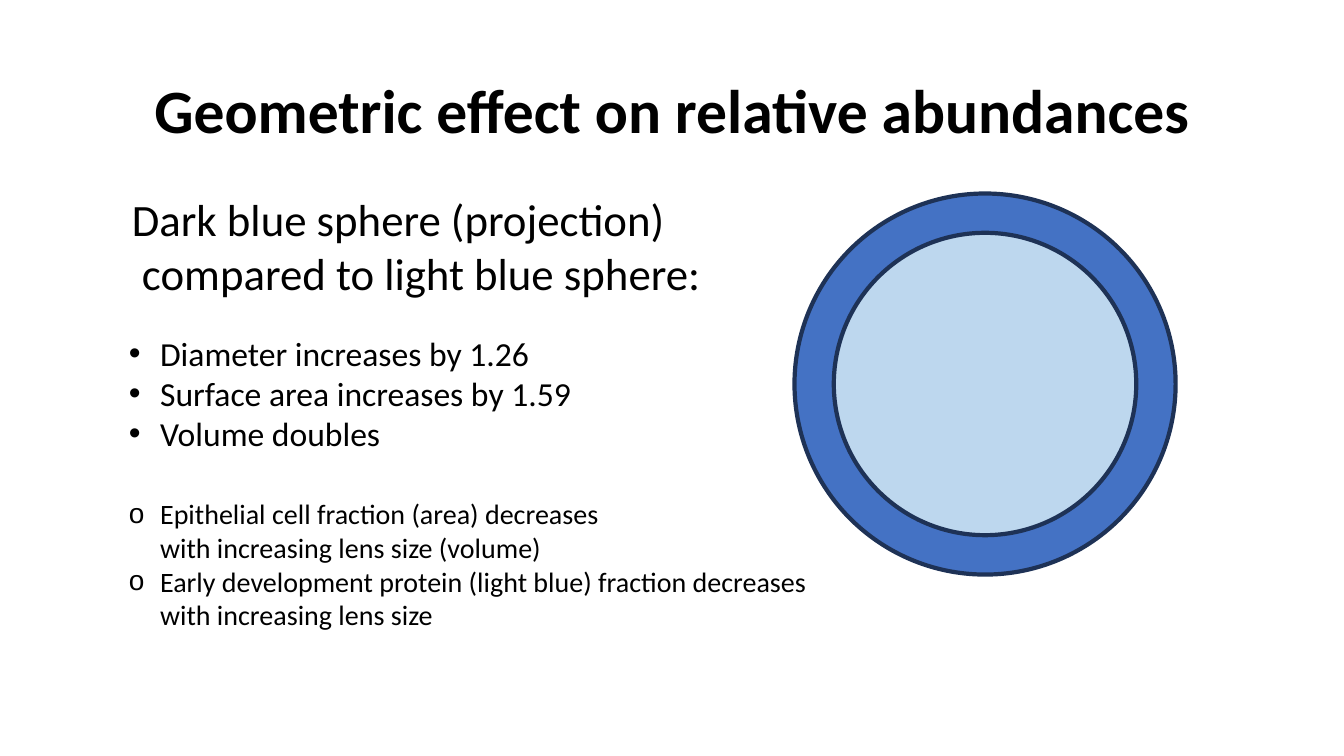
from dataclasses import dataclass

from lxml.etree import SubElement
from pptx import Presentation
from pptx.dml.color import RGBColor as RGB
from pptx.enum.shapes import MSO_SHAPE as SHAPE
from pptx.enum.text import MSO_ANCHOR as ANCHOR, MSO_AUTO_SIZE as AUTO, PP_ALIGN as ALIGN
from pptx.oxml.ns import qn
from pptx.util import Pt

PX = 9144  # EMU per px, 100 px to the inch


@dataclass(frozen=True)
class Theme:
    font: str = "Calibri"
    bullet_font: str = "Arial"
    text: RGB = RGB(0, 0, 0)
    outer: RGB = RGB(0x44, 0x72, 0xC4)
    inner: RGB = RGB(0xBD, 0xD7, 0xEE)
    outline: RGB = RGB(0x1E, 0x32, 0x56)
    title: int = 44
    lead: int = 32
    facts: int = 24
    effects: int = 20


THEME = Theme()


def emu(*px):
    return [v * PX for v in px]


def format_runs(p, size, bold=False):
    for r in p.runs:
        values = {"name": THEME.font, "size": Pt(size), "bold": bold}
        for name, value in values.items():
            setattr(r.font, name, value)
        r.font.color.rgb = THEME.text


def add_bullet(p, char, indent=31):
    pPr = p._p.get_or_add_pPr()
    pPr.set("marL", str(indent * PX))
    pPr.set("indent", str(-indent * PX))
    SubElement(pPr, qn("a:buFont"), typeface=THEME.bullet_font)
    SubElement(pPr, qn("a:buChar"), char=char)


def add_title(s, text, box):
    sp = s.shapes.title
    sp.left, sp.top, sp.width, sp.height = emu(*box)
    tf = sp.text_frame
    tf.text = text
    values = {"word_wrap": True, "auto_size": AUTO.NONE, "vertical_anchor": ANCHOR.MIDDLE}
    for name, value in values.items():
        setattr(tf, name, value)
    p = tf.paragraphs[0]
    p.alignment, p.line_spacing = ALIGN.CENTER, 0.9
    format_runs(p, THEME.title, bold=True)


def add_text(s, paragraphs, box, size, bullet=None):
    tf = s.shapes.add_textbox(*emu(*box)).text_frame
    tf.word_wrap = True
    for i, text in enumerate(paragraphs):
        p = tf.add_paragraph() if i else tf.paragraphs[0]
        p.text = text
        if bullet:
            add_bullet(p, bullet)
        format_runs(p, size)


def add_sphere(s, center, diameter, fill):
    left, top = (c - diameter // 2 for c in center)
    sp = s.shapes.add_shape(SHAPE.OVAL, *emu(left, top, diameter, diameter))
    sp.shadow.inherit = False
    sp.fill.solid()
    sp.fill.fore_color.rgb = fill
    sp.line.color.rgb = THEME.outline
    sp.line.width = Pt(3)


def main():
    prs = Presentation()
    prs.slide_width, prs.slide_height = emu(1333, 750)
    s = prs.slides.add_slide(prs.slide_layouts[5])

    add_title(s, "Geometric effect on relative abundances", (92, 40, 1150, 145))
    for diameter, fill in ((378, THEME.outer), (300, THEME.inner)):
        add_sphere(s, (977, 381), diameter, fill)

    add_text(s, ["Dark blue sphere (projection)\n compared to light blue sphere:"],
             (121, 185, 590, 118), THEME.lead)
    add_text(s, ["Diameter increases by 1.26",
                 "Surface area increases by 1.59",
                 "Volume doubles"],
             (118, 325, 463, 131), THEME.facts, "•")
    add_text(s, ["Epithelial cell fraction (area) decreases\n"
                 "with increasing lens size (volume)",
                 "Early development protein (light blue) fraction decreases\n"
                 "with increasing lens size"],
             (118, 488, 706, 145), THEME.effects, "o")
    prs.save("out.pptx")


if __name__ == "__main__":
    main()
